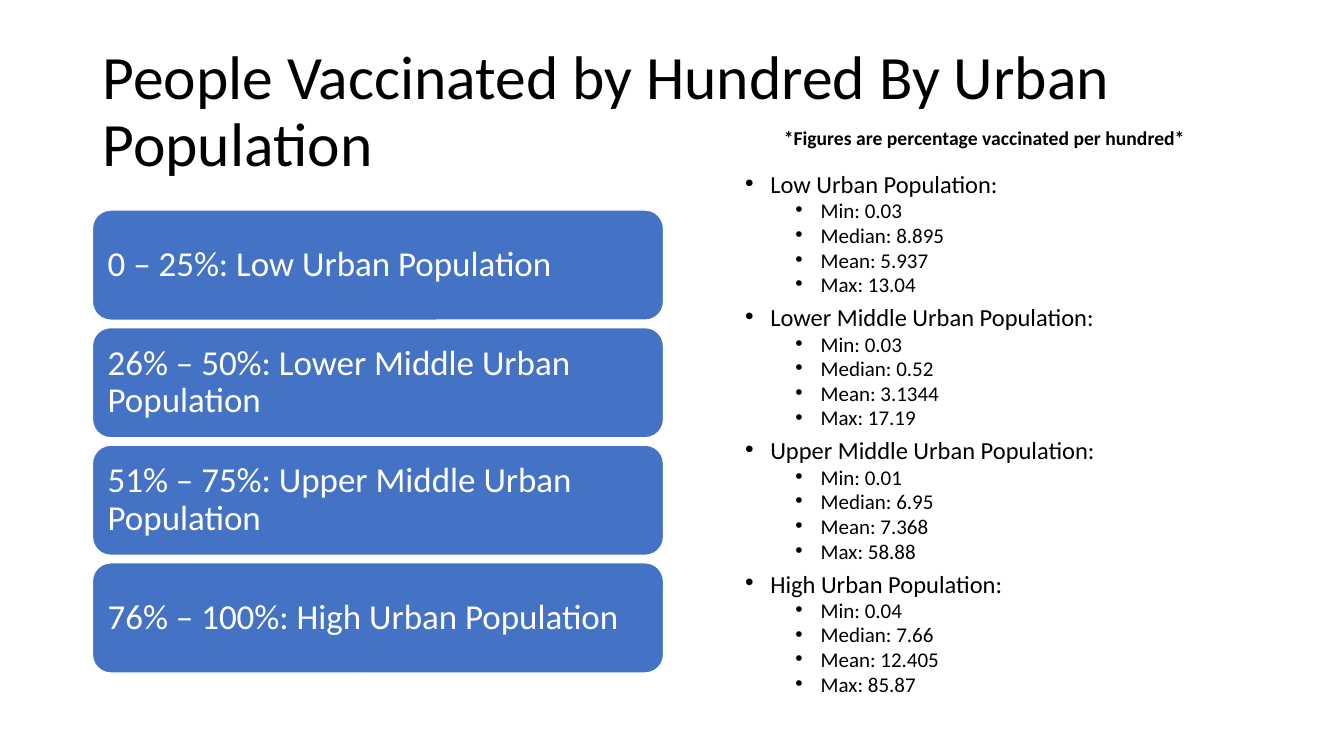
"""Build the slide on people vaccinated per hundred by urban population."""
from lxml.etree import SubElement
from pptx import Presentation
from pptx.dml.color import RGBColor
from pptx.enum.shapes import MSO_SHAPE as Preset
from pptx.enum.text import MSO_ANCHOR as Anchor, MSO_AUTO_SIZE as AutoSize, PP_ALIGN as Align
from pptx.oxml.ns import qn
from pptx.util import Pt

PX = 9525
COLORS = {"text": "000000", "band": "4472C4", "white": "FFFFFF"}
BANDS = [
    "0 – 25%: Low Urban Population",
    "26% – 50%: Lower Middle Urban Population",
    "51% – 75%: Upper Middle Urban Population",
    "76% – 100%: High Urban Population",
]
MEASURES = ["Min", "Median", "Mean", "Max"]
STATISTICS = {
    "Low Urban Population:": ["0.03", "8.895", "5.937", "13.04"],
    "Lower Middle Urban Population:": ["0.03", "0.52", "3.1344", "17.19"],
    "Upper Middle Urban Population:": ["0.01", "6.95", "7.368", "58.88"],
    "High Urban Population:": ["0.04", "7.66", "12.405", "85.87"],
}


def place(item, *box):
    item.left, item.top, item.width, item.height = [length * PX for length in box]


def style(paragraph, size, color="text", bold=False):
    paragraph.alignment = Align.LEFT
    font = paragraph.font
    font.name, font.size, font.bold = "Calibri", Pt(size), bold
    font.color.rgb = RGBColor.from_string(COLORS[color])


prs = Presentation()
prs.slide_width, prs.slide_height = 1280 * PX, 720 * PX
slide = prs.slides.add_slide(prs.slide_layouts[1])

title = slide.shapes.title
place(title, 88, 38, 1104, 139)
title.text_frame.text = "People Vaccinated by Hundred By Urban Population"
title.text_frame.auto_size = AutoSize.NONE
title.text_frame.vertical_anchor = Anchor.MIDDLE
title.text_frame.paragraphs[0].line_spacing = 0.9
style(title.text_frame.paragraphs[0], 44)

for row, label in enumerate(BANDS):
    band = slide.shapes.add_shape(Preset.ROUNDED_RECTANGLE, 0, 0, 0, 0)
    place(band, 88, 200 + 112 * row, 544, 105)
    band.shadow.inherit = False
    band.fill.solid()
    band.fill.fore_color.rgb = RGBColor.from_string(COLORS["band"])
    band.line.color.rgb = RGBColor.from_string(COLORS["white"])
    band.line.width = Pt(1)
    band.text_frame.text = label
    band.text_frame.word_wrap = True
    band.text_frame.vertical_anchor = Anchor.MIDDLE
    band.text_frame.paragraphs[0].line_spacing = 0.9
    style(band.text_frame.paragraphs[0], 25, "white")

summary = slide.placeholders[1]
place(summary, 700, 164, 375, 545)
entries = []
for group, values in STATISTICS.items():
    entries.append((0, group))
    entries += [(1, f"{measure}: {value}") for measure, value in zip(MEASURES, values)]
summary.text_frame.text = "\n".join(text for level, text in entries)
summary.text_frame.auto_size = AutoSize.NONE
for index, (level, text) in enumerate(entries):
    entry = summary.text_frame.paragraphs[index]
    entry.level = level
    entry.line_spacing = 0.7
    entry.space_before = Pt((5 if level else 10) if index else 0)
    properties = entry._p.get_or_add_pPr()
    properties.set("marL", str((72 if level else 24) * PX))
    properties.set("indent", str(-24 * PX))
    SubElement(properties, qn("a:buFont"), typeface="Arial")
    SubElement(properties, qn("a:buChar"), char="•")
    style(entry, 15 if level else 17.5)

footnote = slide.shapes.add_textbox(0, 0, 0, 0)
place(footnote, 737, 115, 422, 33)
footnote.text_frame.word_wrap = True
footnote.text_frame.text = "*Figures are percentage vaccinated per hundred*"
style(footnote.text_frame.paragraphs[0], 14, bold=True)

prs.save("out.pptx")
